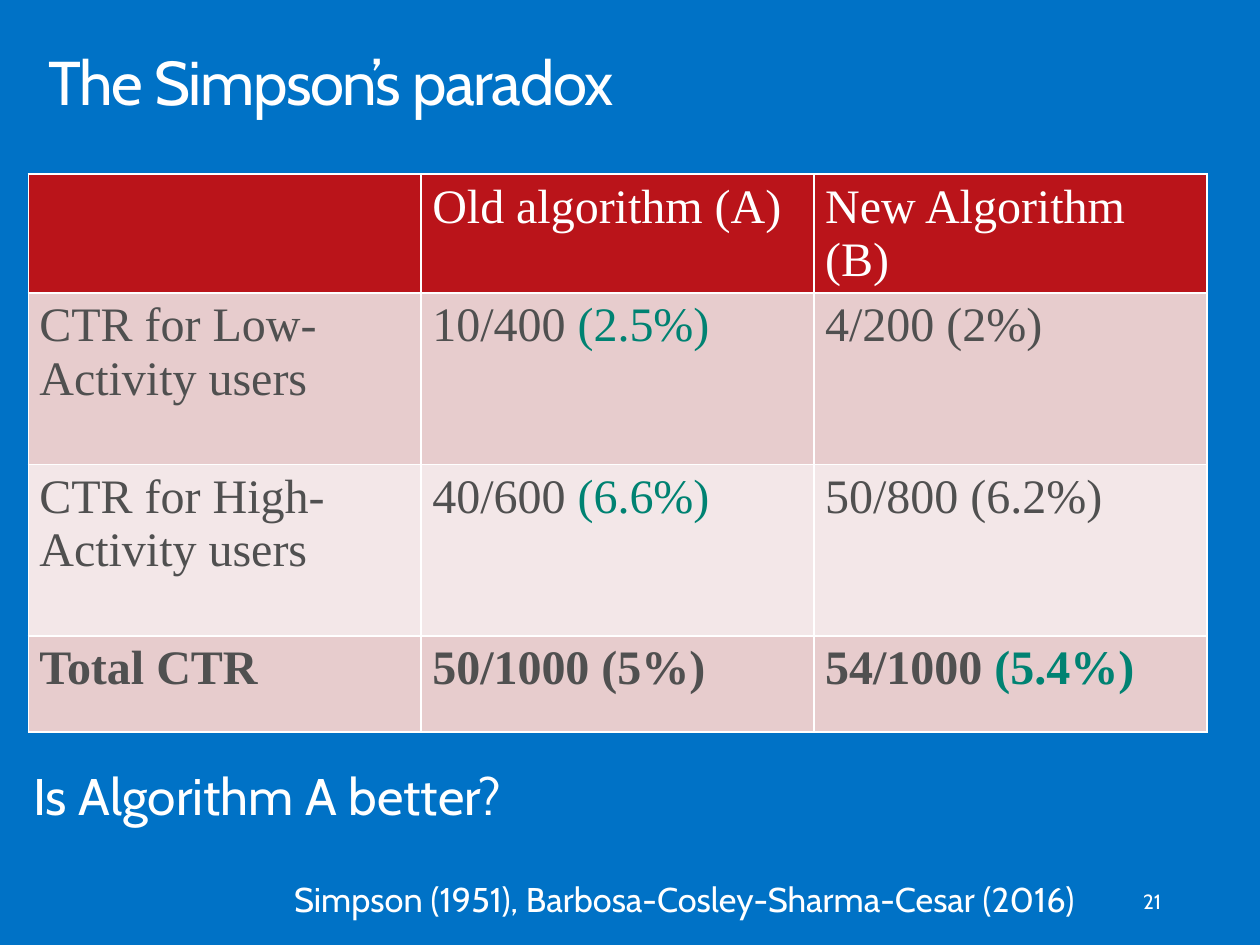
from lxml.etree import SubElement
from pptx import Presentation
from pptx.dml.color import RGBColor
from pptx.enum.text import MSO_ANCHOR as Anchor, MSO_AUTO_SIZE as AutoSize, PP_ALIGN as Align
from pptx.oxml.ns import qn
from pptx.util import Pt

COLORS = {
    "background": "0072C6",
    "white": "FFFFFF",
    "header": "BA141A",
    "band_dark": "E7CCCD",
    "band_light": "F3E7E8",
    "text": "505050",
    "winner": "008272",
}

# Each cell is a plain part and a highlighted part
HEADER = [("", ""), ("Old algorithm (A)", ""), ("New Algorithm (B)", "")]
LOW = [("CTR for Low-Activity users", ""), ("10/400 ", "(2.5%)"), ("4/200 (2%)", "")]
HIGH = [("CTR for High-Activity users", ""), ("40/600 ", "(6.6%)"), ("50/800 (6.2%)", "")]
TOTAL = [("Total CTR", ""), ("50/1000 (5%)", ""), ("54/1000 ", "(5.4%)")]

# Row: cells, height, fill, text colour, bold
ROWS = [
    (HEADER, 68.8, "header", "white", False),
    (LOW, 100, "band_dark", "text", False),
    (HIGH, 100, "band_light", "text", False),
    (TOTAL, 56, "band_dark", "text", True),
]


def rgb(name):
    return RGBColor.from_string(COLORS[name])


class SlideBuilder:
    font = "Cabin"
    table_font = "Times New Roman"
    table_size = 28

    def __init__(self, slide):
        self.slide = slide
        fill = slide.background.fill
        fill.solid()
        fill.fore_color.rgb = rgb("background")

    def style(self, font, name, size, color, bold=False):
        font.name, font.size, font.bold = name, Pt(size), bold
        font.color.rgb = rgb(color)

    def set_text(self, shape, text, box, size, insets, align=Align.LEFT,
                 anchor=Anchor.TOP, line_spacing=0.9, spacing=None):
        shape.left, shape.top, shape.width, shape.height = map(Pt, box)
        frame = shape.text_frame
        frame.text = text
        frame.word_wrap = True
        frame.auto_size = AutoSize.NONE
        frame.vertical_anchor = anchor
        frame.margin_left = frame.margin_right = Pt(insets[0])
        frame.margin_top = frame.margin_bottom = Pt(insets[1])
        paragraph = frame.paragraphs[0]
        paragraph.alignment = align
        paragraph.line_spacing = line_spacing
        paragraph.space_before = Pt(0)
        run = paragraph.runs[0]
        self.style(run.font, self.font, size, "white")
        if spacing is not None:
            run._r.get_or_add_rPr().set("spc", str(int(spacing * 100)))
        return paragraph

    def title(self, text, box):
        self.set_text(self.slide.shapes.title, text, box, 36, (11.5, 7.2), spacing=-0.8)

    def body(self, text, box):
        paragraph = self.set_text(self.slide.placeholders[1], text, box, 30, (0, 2.9))
        properties = paragraph._p.get_or_add_pPr()
        properties.set("marL", "0")
        properties.set("indent", "0")
        SubElement(properties, qn("a:buNone"))

    def text_box(self, text, box, size, insets, **options):
        shape = self.slide.shapes.add_textbox(*map(Pt, box))
        self.set_text(shape, text, box, size, insets, **options)

    def borders(self, cell):
        properties = cell._tc.get_or_add_tcPr()
        for side in ("lnL", "lnR", "lnT", "lnB"):
            line = SubElement(properties, qn(f"a:{side}"), w=str(Pt(1)))
            fill = SubElement(line, qn("a:solidFill"))
            SubElement(fill, qn("a:srgbClr"), val=COLORS["white"])

    def cell(self, cell, parts, fill, color, bold):
        self.borders(cell)
        cell.fill.solid()
        cell.fill.fore_color.rgb = rgb(fill)
        cell.margin_left = cell.margin_right = Pt(6.5)
        cell.margin_top = cell.margin_bottom = Pt(3.6)
        paragraph = cell.text_frame.paragraphs[0]
        self.style(paragraph.font, self.table_font, self.table_size, color, bold)
        for text, part_color in zip(parts, (color, "winner")):
            if text:
                run = paragraph.add_run()
                run.text = text
                self.style(run.font, self.table_font, self.table_size, part_color, bold)

    def table(self, rows, left, top, width):
        height = sum(row[1] for row in rows)
        columns = len(rows[0][0])
        table = self.slide.shapes.add_table(
            len(rows), columns, Pt(left), Pt(top), Pt(width), Pt(height)).table
        for column in table.columns:
            column.width = Pt(width / columns)
        for row, (cells, row_height, fill, color, bold) in zip(table.rows, rows):
            row.height = Pt(row_height)
            for cell, parts in zip(row.cells, cells):
                self.cell(cell, parts, fill, color, bold)


def main():
    presentation = Presentation()
    presentation.slide_width, presentation.slide_height = Pt(734.4), Pt(550.8)
    builder = SlideBuilder(presentation.slides.add_slide(presentation.slide_layouts[1]))

    # Title and question
    builder.title("The Simpson’s paradox", (16.5, 23, 702, 72))
    builder.body("Is Algorithm A better?", (19.4, 446.4, 624, 44.6))

    # Click-through rates by user group
    builder.table(ROWS, 16.5, 101.5, 687)

    # Slide number and references
    builder.text_box("21", (518.4, 510.5, 165.6, 29.5), 12, (7.2, 3.6),
                     align=Align.RIGHT, anchor=Anchor.MIDDLE, line_spacing=1.0)
    builder.text_box("Simpson (1951), Barbosa-Cosley-Sharma-Cesar (2016)",
                     (157, 503.3, 509.8, 45.4), 20, (14.4, 11.5))

    presentation.save("out.pptx")


if __name__ == "__main__":
    main()
